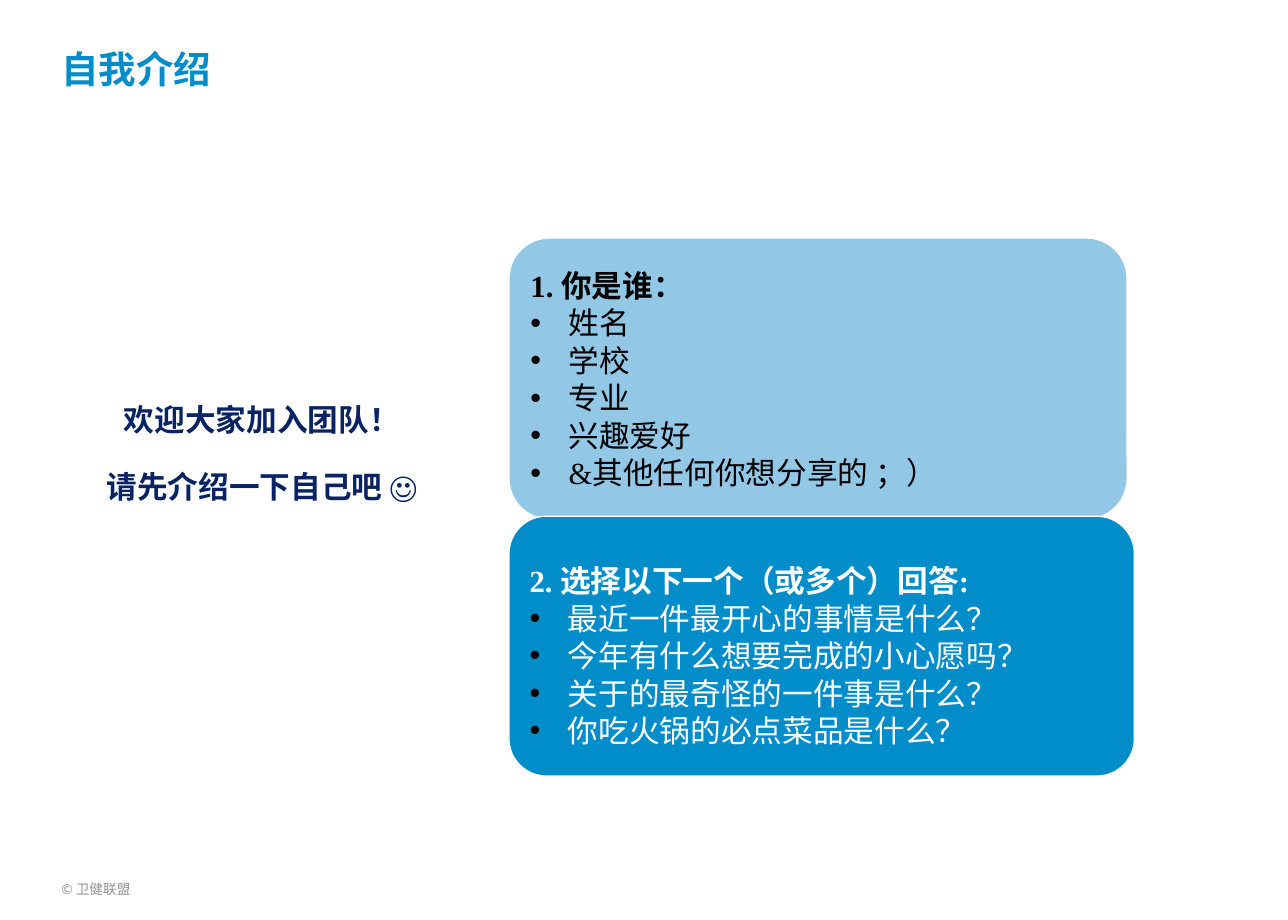
from lxml import etree
from pptx import Presentation
from pptx.dml.color import RGBColor
from pptx.enum.shapes import MSO_SHAPE
from pptx.enum.text import MSO_ANCHOR, PP_ALIGN
from pptx.oxml.ns import qn
from pptx.util import Cm, Pt

ROUNDED = MSO_SHAPE.ROUNDED_RECTANGLE
TOP, MIDDLE = MSO_ANCHOR.TOP, MSO_ANCHOR.MIDDLE
LEFT, CENTER = PP_ALIGN.LEFT, PP_ALIGN.CENTER

COLORS = {
    "blue": "008DC9",
    "light_blue": "93C7E6",
    "navy": "0A2463",
    "grey": "939393",
    "black": "000000",
    "white": "FFFFFF",
}
LATIN, CHINESE = "Times New Roman", "Noto Sans CJK SC"


def rgb(name):
    return RGBColor.from_string(COLORS[name])


class Deck:
    def __init__(self, width, height):
        self.prs = Presentation()
        self.prs.slide_width, self.prs.slide_height = Cm(width), Cm(height)
        self.slide = self.prs.slides.add_slide(self.prs.slide_layouts[6])

    def frame(self, shape, anchor, inset_x, inset_y):
        frame = shape.text_frame
        frame.word_wrap = True
        frame.vertical_anchor = anchor
        frame.margin_left = frame.margin_right = Cm(inset_x)
        frame.margin_top = frame.margin_bottom = Cm(inset_y)
        return frame

    def style(self, paragraph, size, color, bold=False, latin=LATIN):
        font = paragraph.font
        font.size, font.bold, font.name = Pt(size), bold, latin
        font.color.rgb = rgb(color)
        etree.SubElement(font._element, qn("a:ea"), typeface=CHINESE)

    def bullet(self, paragraph):
        props = paragraph._p.get_or_add_pPr()
        props.set("marL", str(Cm(0.79)))
        props.set("indent", str(-Cm(0.79)))
        color = etree.SubElement(props, qn("a:buClr"))
        etree.SubElement(color, qn("a:srgbClr"), val=COLORS["black"])
        etree.SubElement(props, qn("a:buFont"), typeface="Arial")
        etree.SubElement(props, qn("a:buChar"), char="•")

    def text(self, box, lines, size, color, bold=False, latin=LATIN, anchor=TOP,
             align=LEFT, inset=(0, 0), spacing=1.0, gap=0):
        shape = self.slide.shapes.add_textbox(*map(Cm, box))
        frame = self.frame(shape, anchor, *inset)
        for i, line in enumerate(lines):
            paragraph = frame.add_paragraph() if i else frame.paragraphs[0]
            paragraph.text = line
            paragraph.alignment = align
            paragraph.line_spacing = spacing
            if i:
                paragraph.space_before = Pt(gap)
            self.style(paragraph, size, color, bold, latin)

    def card(self, box, heading, items, fill, color, heading_spacing):
        shape = self.slide.shapes.add_shape(ROUNDED, *map(Cm, box))
        shape.adjustments[0] = 0.144
        shape.shadow.inherit = False
        shape.fill.solid()
        shape.fill.fore_color.rgb = rgb(fill)
        shape.line.color.rgb = rgb("white")
        shape.line.width = Pt(0.75)
        frame = self.frame(shape, MIDDLE, 0.2, 0.2)
        title = frame.paragraphs[0]
        title.text = heading
        title.alignment = LEFT
        title.line_spacing = heading_spacing
        self.style(title, 18, color, bold=True)
        for item in items:
            paragraph = frame.add_paragraph()
            paragraph.text = item
            paragraph.alignment = LEFT
            paragraph.line_spacing = Pt(22)
            self.bullet(paragraph)
            self.style(paragraph, 18, color)


def main():
    deck = Deck(26.67, 19.05)

    # Footer
    deck.text((1.27, 18.21, 1.45, 0.38), ["© 卫健联盟"], 8, "grey",
              latin=CHINESE, anchor=MIDDLE)

    # Title
    deck.text((1.27, 1.07, 15.67, 2.11), ["自我介绍"], 22, "blue",
              bold=True, spacing=0.9)

    # Welcome
    deck.text((1.27, 8.26, 8.31, 2.57),
              ["欢迎大家加入团队！", "请先介绍一下自己吧 ☺"], 18, "navy",
              bold=True, align=CENTER, inset=(0.25, 0.13), spacing=0.9, gap=20)

    # Question cards
    deck.card((10.54, 4.93, 12.8, 5.82), "1. 你是谁：",
              ["姓名", "学校", "专业", "兴趣爱好", "&其他任何你想分享的 ；）"],
              "light_blue", "black", Pt(22))
    deck.card((10.54, 10.69, 12.95, 5.38), "2. 选择以下一个（或多个）回答:",
              ["最近一件最开心的事情是什么？", "今年有什么想要完成的小心愿吗？",
               "关于的最奇怪的一件事是什么？", "你吃火锅的必点菜品是什么？"],
              "blue", "white", 1.5)

    deck.prs.save("out.pptx")


if __name__ == "__main__":
    main()
